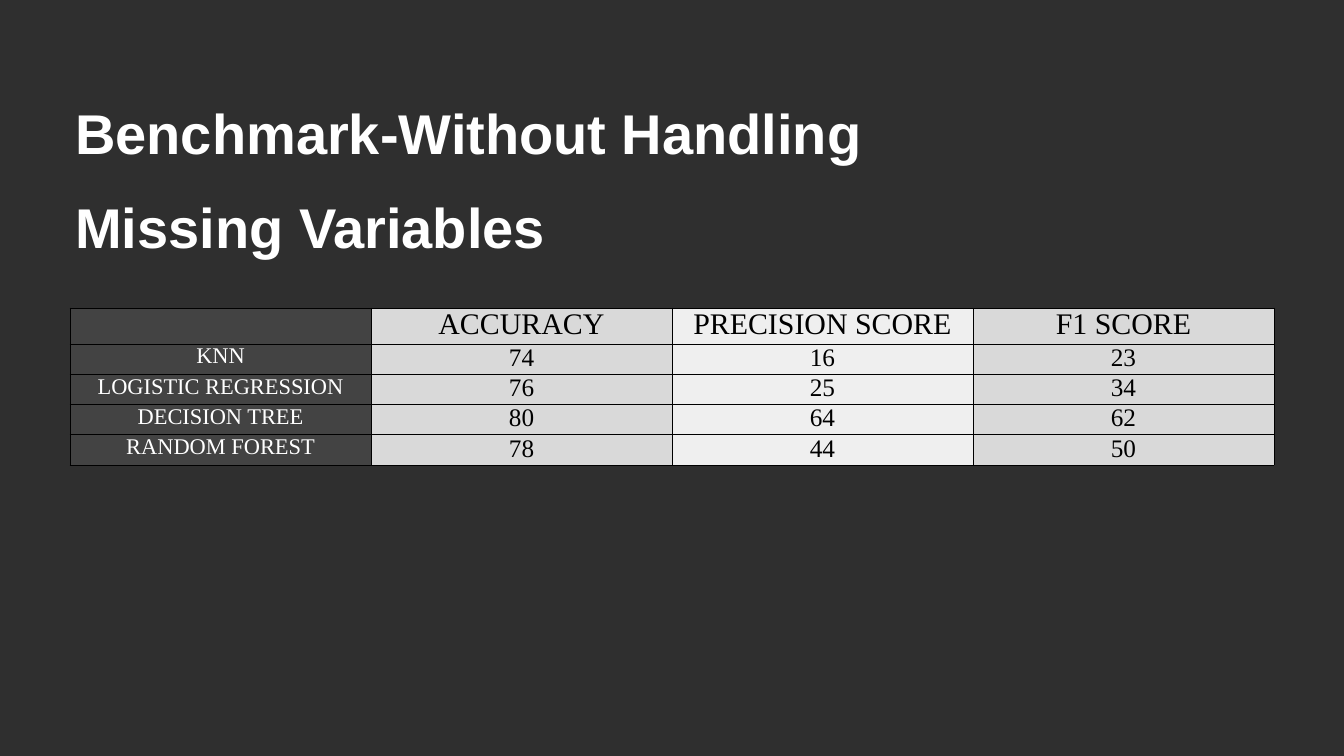
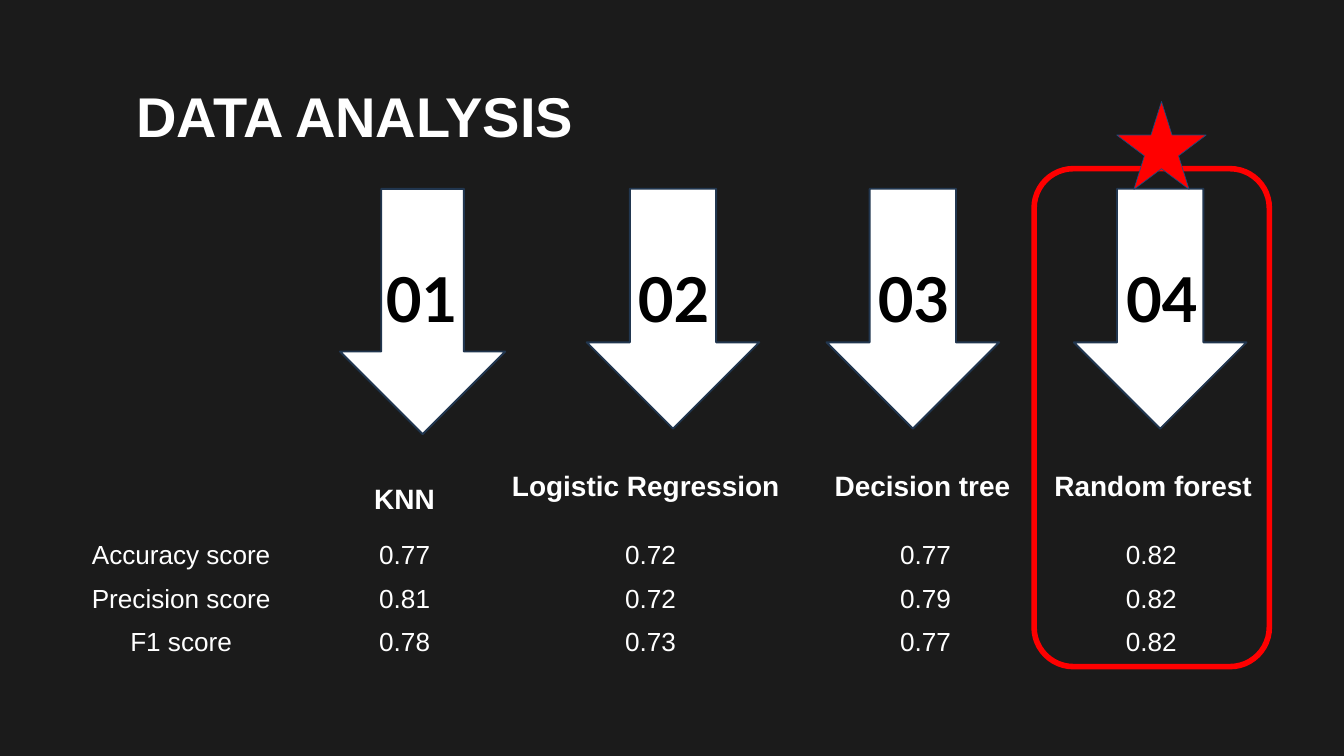
from lxml.etree import SubElement
from pptx import Presentation
from pptx.dml.color import RGBColor
from pptx.enum.shapes import MSO_SHAPE
from pptx.enum.text import MSO_ANCHOR, MSO_AUTO_SIZE, PP_ALIGN
from pptx.oxml.ns import qn
from pptx.util import Pt

COLORS = {
    "charcoal": "2F2F2F", "black_bg": "1B1B1B", "white": "FFFFFF", "black": "000000",
    "label": "434343", "grey": "D9D9D9", "light": "EFEFEF",
    "red": "FF0000", "navy": "21364F", "blue": "1F497D",
}
TITLE_ONLY = 5


def color(name):
    return RGBColor.from_string(COLORS[name])


def write_text(frame, text, size=28, font="Arial", ink="white", bold=False,
               align=PP_ALIGN.CENTER, spacing=None, before=0):
    """Put each line of text in its own paragraph, all in one format."""
    frame.text = text
    for paragraph in frame.paragraphs:
        paragraph.alignment = align
        paragraph.line_spacing = spacing
        paragraph.space_before = Pt(before)
        for run in paragraph.runs:
            run.font.size = Pt(size)
            run.font.name = font
            run.font.bold = bold
            run.font.color.rgb = color(ink)


def border_cell(cell, ink="black", width=0.75):
    properties = cell._tc.get_or_add_tcPr()
    for side in ("lnL", "lnR", "lnT", "lnB"):
        line = SubElement(properties, qn(f"a:{side}"), w=str(Pt(width)))
        fill = SubElement(line, qn("a:solidFill"))
        SubElement(fill, qn("a:srgbClr"), val=COLORS[ink])


class Deck:
    """Holds the shared style and the slide being built."""

    def __init__(self):
        self.presentation = Presentation()
        self.presentation.slide_width = Pt(1440)
        self.presentation.slide_height = Pt(810)
        self.slide = None

    def add_slide(self, background):
        layout = self.presentation.slide_layouts[TITLE_ONLY]
        self.slide = self.presentation.slides.add_slide(layout)
        fill = self.slide.background.fill
        fill.solid()
        fill.fore_color.rgb = color(background)

    def fit_frame(self, shape):
        frame = shape.text_frame
        frame.margin_left = frame.margin_right = 0
        frame.margin_top = frame.margin_bottom = 0
        frame.word_wrap = True
        frame.auto_size = MSO_AUTO_SIZE.SHAPE_TO_FIT_TEXT
        frame.vertical_anchor = MSO_ANCHOR.TOP
        return frame

    def title(self, text, left, top, width, height, **style):
        heading = self.slide.shapes.title
        heading.left, heading.top = Pt(left), Pt(top)
        heading.width, heading.height = Pt(width), Pt(height)
        write_text(self.fit_frame(heading), text, size=60, bold=True, **style)

    def text(self, text, left, top, width, height, **style):
        box = self.slide.shapes.add_textbox(Pt(left), Pt(top), Pt(width), Pt(height))
        write_text(self.fit_frame(box), text, **style)

    def shape(self, kind, left, top, width, height, line, weight, fill=None, adjust=()):
        shape = self.slide.shapes.add_shape(kind, Pt(left), Pt(top), Pt(width), Pt(height))
        shape.shadow.inherit = False
        if fill:
            shape.fill.solid()
            shape.fill.fore_color.rgb = color(fill)
        else:
            shape.fill.background()
        shape.line.color.rgb = color(line)
        shape.line.width = Pt(weight)
        for index, value in enumerate(adjust):
            shape.adjustments[index] = value

    def table(self, rows, left, top, width, heights, fills):
        """Draw a table whose first row and column are headings; fills go by column."""
        grid = self.slide.shapes.add_table(
            len(rows), len(fills), Pt(left), Pt(top), Pt(width), Pt(sum(heights))).table
        grid.first_row = grid.horz_banding = False
        for r, values in enumerate(rows):
            grid.rows[r].height = Pt(heights[r])
            for c, value in enumerate(values):
                cell = grid.cell(r, c)
                cell.margin_left = cell.margin_right = Pt(5)
                cell.margin_top = cell.margin_bottom = 0
                border_cell(cell)
                cell.fill.solid()
                cell.fill.fore_color.rgb = color(fills[c])
                size = 24 if c == 0 else 32 if r == 0 else 27
                write_text(cell.text_frame, value, size=size, font="Times New Roman",
                           ink="black" if c else "white")


def build_benchmark(deck):
    deck.add_slide("charcoal")
    deck.title("Benchmark-Without Handling Missing Variables", 80.6, 77, 916.6, 174.2,
               align=PP_ALIGN.LEFT, spacing=1.4)
    scores = [
        ("", "ACCURACY", "PRECISION SCORE", "F1 SCORE"),
        ("KNN", "74", "16", "23"),
        ("LOGISTIC REGRESSION", "76", "25", "34"),
        ("DECISION TREE", "80", "64", "62"),
        ("RANDOM FOREST", "78", "44", "50"),
    ]
    deck.table(scores, 75, 329.8, 1290, [38.6] + [32.4] * 4,
               ["label", "grey", "light", "grey"])


def build_analysis(deck):
    deck.add_slide("black_bg")
    deck.title("DATA ANALYSIS", 65.5, 69.8, 629.3, 72.7, spacing=1.24)
    deck.shape(MSO_SHAPE.ROUNDED_RECTANGLE, 1108, 180.7, 252, 533.5, "red", 6,
               adjust=[0.167])

    centered = {"spacing": 1.38}
    leading = {"align": PP_ALIGN.LEFT, "before": 10}
    # name, name style, scores, arrow (left, width, height), then left and width
    # of the number and of the name, and left of the scores
    models = [
        ("KNN", centered, "0.77\n0.81\n0.78",
         (364.3, 177, 262.8), (375.1, 153.4), (302.4, 262), 293.8),
        ("Logistic Regression", leading, "0.72\n0.72\n0.73",
         (628.6, 185, 257), (645.1, 153.4), (548.6, 306.7), 557.3),
        ("Decision tree", leading, "0.77\n0.79\n0.77",
         (885.6, 185, 257), (902.2, 153.4), (894.2, 204.5), 851.8),
        ("Random forest", leading, "0.82\n0.82\n0.82",
         (1150.6, 185, 257), (1165, 159.8), (1129.7, 262), 1093.7),
    ]
    for rank, (name, name_style, scores, arrow, number, label, scores_left) in enumerate(models, 1):
        arrow_left, arrow_width, arrow_height = arrow
        deck.shape(MSO_SHAPE.DOWN_ARROW, arrow_left, 202.3, arrow_width, arrow_height,
                   "navy", 2, fill="white")
        number_left, number_width = number
        deck.text(f"{rank:02}", number_left, 249.1, number_width, 80.6, size=66.2,
                  font="Lato", ink="black", bold=True, spacing=1.38)
        name_left, name_width = label
        deck.text(name, name_left, 501.8, name_width, 36, size=30, bold=True, **name_style)
        deck.text(scores, scores_left, 564.5, 279.4, 174.2, spacing=1.38)
    deck.text("Accuracy score\nPrecision score\nF1 score", 48.2, 564.5, 291.6, 127.4,
              spacing=1.38)
    deck.shape(MSO_SHAPE.STAR_5_POINT, 1196.6, 108.7, 95.8, 94.3, "blue", 0.75,
               fill="red", adjust=[0.191])


def main():
    deck = Deck()
    build_benchmark(deck)
    build_analysis(deck)
    deck.presentation.save("out.pptx")


if __name__ == "__main__":
    main()
